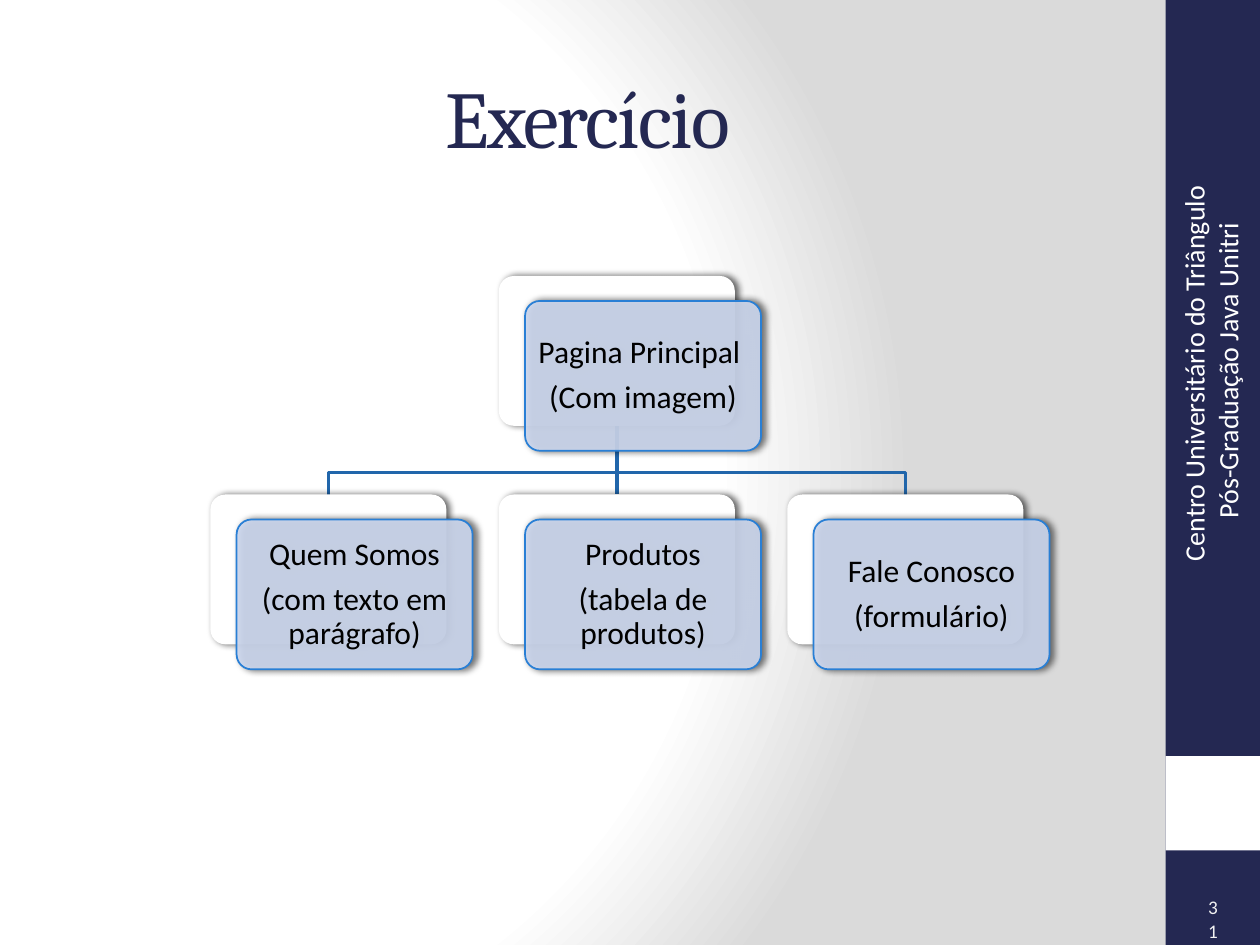
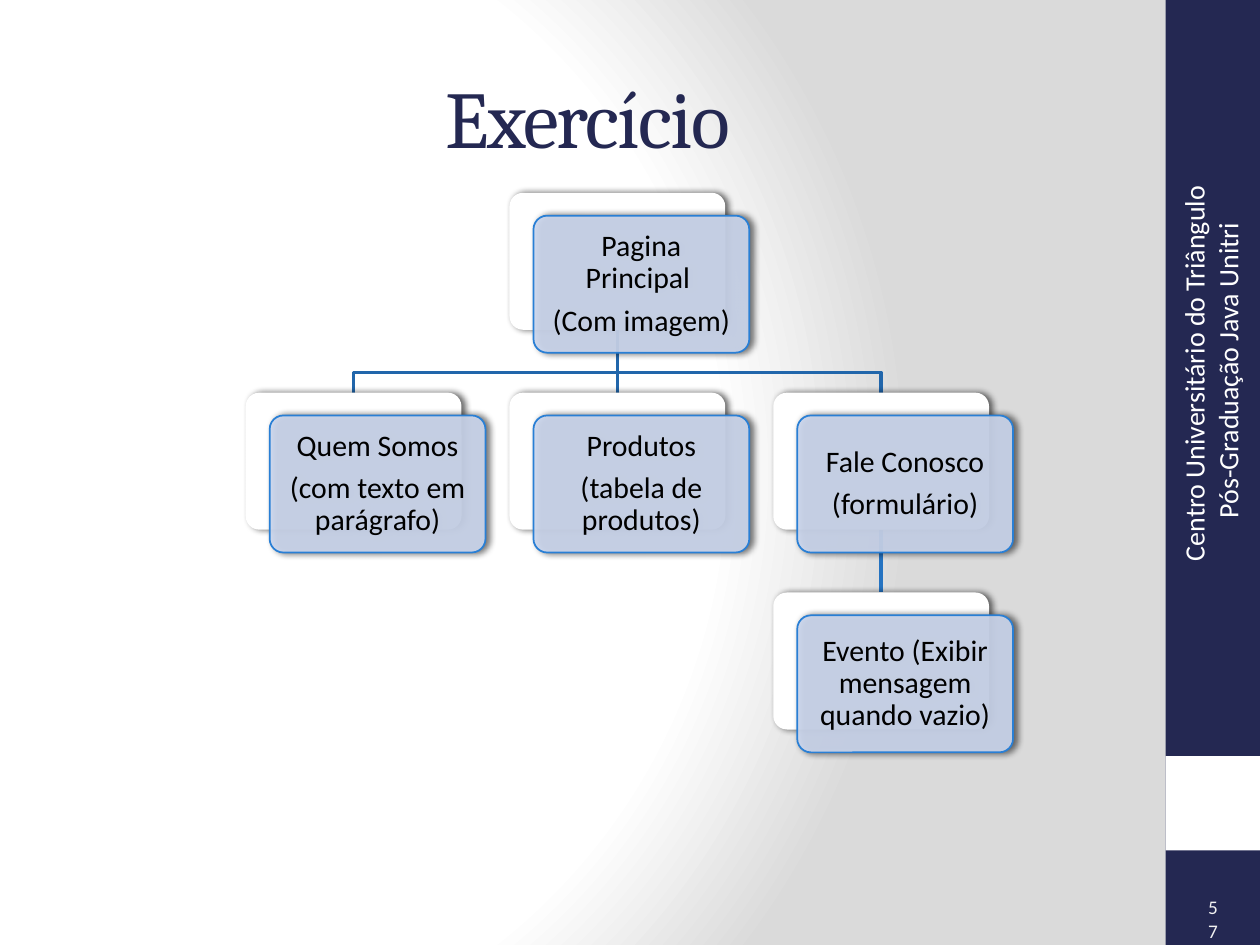
import pptx
import pptx.dml.color
import pptx.enum.shapes
import pptx.enum.text
import pptx.oxml
import pptx.oxml.ns
import pptx.util
from pptx.util import Inches

COLORS = {
    "navy": "242852",
    "white": "FFFFFF",
    "gray": "DADADA",
    "number": "F2F2F2",
    "card": "CDD8EF",
    "card_line": "297FD5",
    "link_1": "2166AB",
    "link_2": "2573C1",
    "black": "000000",
}
BODY_FONT, TITLE_FONT = "Calibri", "Cambria"
DRAWING_NS = pptx.oxml.ns.nsdecls("a")
SHAPES = pptx.enum.shapes.MSO_SHAPE
ALIGN = pptx.enum.text.PP_ALIGN
ANCHOR = pptx.enum.text.MSO_ANCHOR

# Each card: key, parent key, column, row, paragraphs
SITE_MAP = [
    ("home", None, 1, 0, ["Pagina Principal ", "(Com imagem)"]),
    ("about", "home", 0, 1, ["Quem Somos", "(com texto em parágrafo)"]),
    ("products", "home", 1, 1, ["Produtos", "(tabela de produtos)"]),
    ("contact", "home", 2, 1, ["Fale Conosco", "(formulário)"]),
]
EVENT_CARD = ("event", "contact", 2, 2, ["Evento (Exibir mensagem quando vazio)"])


def rgb(name):
    return pptx.dml.color.RGBColor.from_string(COLORS[name])


def write(frame, lines, size, color, font=BODY_FONT, align=ALIGN.CENTER):
    """Fill a text frame with one paragraph per line and return the paragraphs."""
    frame.word_wrap = True
    for index, line in enumerate(lines):
        para = frame.add_paragraph() if index else frame.paragraphs[0]
        para.alignment = align
        span = para.add_run()
        span.text = line
        span.font.name = font
        span.font.size = pptx.util.Pt(size)
        span.font.color.rgb = rgb(color)
    return frame.paragraphs


def add_text(page, box, lines, size, color, **style):
    text_box = page.shapes.add_textbox(*map(Inches, box))
    write(text_box.text_frame, lines, size, color, **style)
    return text_box


def add_block(page, preset, box, color):
    block = page.shapes.add_shape(preset, *map(Inches, box))
    block.shadow.inherit = False
    block.fill.solid()
    block.fill.fore_color.rgb = rgb(color)
    block.line.fill.background()
    return block


def set_background(page):
    stops = "".join(
        f'<a:gs pos="{percent * 1000}"><a:srgbClr val="{COLORS[color]}"/></a:gs>'
        for percent, color in [(0, "white"), (75, "white"), (100, "gray")])
    background = pptx.oxml.parse_xml(
        f'<p:bg {pptx.oxml.ns.nsdecls("p", "a")}><p:bgPr>'
        f'<a:gradFill rotWithShape="1"><a:gsLst>{stops}</a:gsLst>'
        '<a:path path="circle"><a:fillToRect l="20000" t="50000" r="100000" b="50000"/>'
        '</a:path></a:gradFill><a:effectLst/></p:bgPr></p:bg>')
    page.element.find(pptx.oxml.ns.qn("p:cSld")).insert(0, background)


def add_side_band(page, box, number):
    left, top, width, height = box
    add_block(page, SHAPES.RECTANGLE, box, "navy")
    add_block(page, SHAPES.RECTANGLE, (left, top + 6, width, width), "white")
    add_text(page, (left + 0.24, top + 7.06, 0.28, 0.29), [str(number)], 11, "number",
             align=ALIGN.LEFT)
    course = add_text(page, (left - 2.58, top + 2.62, 5.88, 0.64),
                      ["Centro Universitário do Triângulo ", "Pós-Graduação Java Unitri"],
                      16, "white")
    course.rotation = 270


def add_title(page, box, title):
    title_box = add_text(page, box, [title], 46, "navy", font=TITLE_FONT)
    title_box.text_frame.vertical_anchor = ANCHOR.MIDDLE
    for span in title_box.text_frame.paragraphs[0].runs:
        span.font._element.set("spc", "-100")


def add_card_layer(page, box, color):
    """Rounded rectangle with a soft shadow."""
    layer = add_block(page, SHAPES.ROUNDED_RECTANGLE, box, color)
    layer.adjustments[0] = 0.1
    layer.element.spPr.find(pptx.oxml.ns.qn("a:effectLst")).append(pptx.oxml.parse_xml(
        f'<a:outerShdw {DRAWING_NS} blurRad="50800" dist="25400" dir="0" rotWithShape="0">'
        f'<a:srgbClr val="{COLORS["black"]}"><a:alpha val="60000"/></a:srgbClr>'
        '</a:outerShdw>'))
    return layer


def add_card(page, box, lines, size):
    """Draw a white card with a labelled one in front; return the white one."""
    left, top, width, height = box
    back = add_card_layer(page, box, "white")
    front = add_card_layer(
        page, (left + width / 9, top + height / 6, width, height), "card")
    fill_color = front.element.spPr.find(
        pptx.oxml.ns.qn("a:solidFill") + "/" + pptx.oxml.ns.qn("a:srgbClr"))
    fill_color.append(pptx.oxml.parse_xml(f'<a:alpha {DRAWING_NS} val="90000"/>'))
    front.line.color.rgb = rgb("card_line")
    front.line.width = pptx.util.Pt(1)

    frame = front.text_frame
    frame.vertical_anchor = ANCHOR.MIDDLE
    frame.margin_left = frame.margin_right = Inches(0.07)
    frame.margin_top = frame.margin_bottom = Inches(0.07)
    for para in write(frame, lines, size, "black"):
        para.line_spacing = 0.9
        para.space_after = pptx.util.Pt(0.35 * size)
    return back


def add_link(page, start, end, color):
    """Draw a straight connector, or an elbow when the columns differ."""
    (start_x, start_y), (end_x, end_y) = start, end
    if start_x == end_x:
        link = page.shapes.add_connector(
            pptx.enum.shapes.MSO_CONNECTOR.STRAIGHT, *map(Inches, start + end))
        link.element.spPr.append(pptx.oxml.parse_xml(f"<a:effectLst {DRAWING_NS}/>"))
    else:
        bend_y = start_y + 0.68 * (end_y - start_y)
        builder = page.shapes.build_freeform(Inches(start_x), Inches(start_y))
        corners = [(start_x, bend_y), (end_x, bend_y), end]
        builder.add_line_segments(
            [(Inches(x), Inches(y)) for x, y in corners], close=False)
        link = builder.convert_to_shape()
        link.shadow.inherit = False
        link.fill.background()
    link.line.color.rgb = rgb(color)
    link.line.width = pptx.util.Pt(2)
    return link


def add_site_map(page, left, top, width, cards, size):
    """Tree of cards three columns wide; links lie behind the cards."""
    card_width = width * 9 / 32
    card_height = card_width * 0.635
    column_step, row_step = card_width * 11 / 9, card_width * 0.926
    boxes = {key: (left + column * column_step, top + row * row_step,
                   card_width, card_height)
             for key, _, column, row, _ in cards}

    straight_links = []
    for key, parent, column, row, _ in cards:
        if parent is None:
            continue
        parent_left, parent_top = boxes[parent][:2]
        child_left, child_top = boxes[key][:2]
        link = add_link(page,
                        (parent_left + card_width / 2, parent_top + card_height),
                        (child_left + card_width / 2, child_top), f"link_{row}")
        if parent_left == child_left:
            straight_links.append((link, parent, key))

    backs = {key: add_card(page, boxes[key], lines, size)
             for key, _, _, _, lines in cards}
    for link, parent, child in straight_links:
        link.begin_connect(backs[parent], 2)
        link.end_connect(backs[child], 0)


def add_exercise_slide(deck, number, map_place, cards, size):
    page = deck.slides.add_slide(deck.slide_layouts[6])
    set_background(page)
    add_side_band(page, (9.25, 0, 0.75, 7.5), number)
    add_title(page, (0.5, 0.3, 8.33, 1.25), "Exercício")
    add_site_map(page, *map_place, cards, size)


def main():
    deck = pptx.Presentation()
    deck.slide_width, deck.slide_height = Inches(10), Inches(7.5)
    add_exercise_slide(deck, 31, (1.67, 2.19, 6.66), SITE_MAP, 18)
    add_exercise_slide(deck, 57, (1.95, 1.53, 6.09), SITE_MAP + [EVENT_CARD], 17)
    deck.save("out.pptx")


if __name__ == "__main__":
    main()
